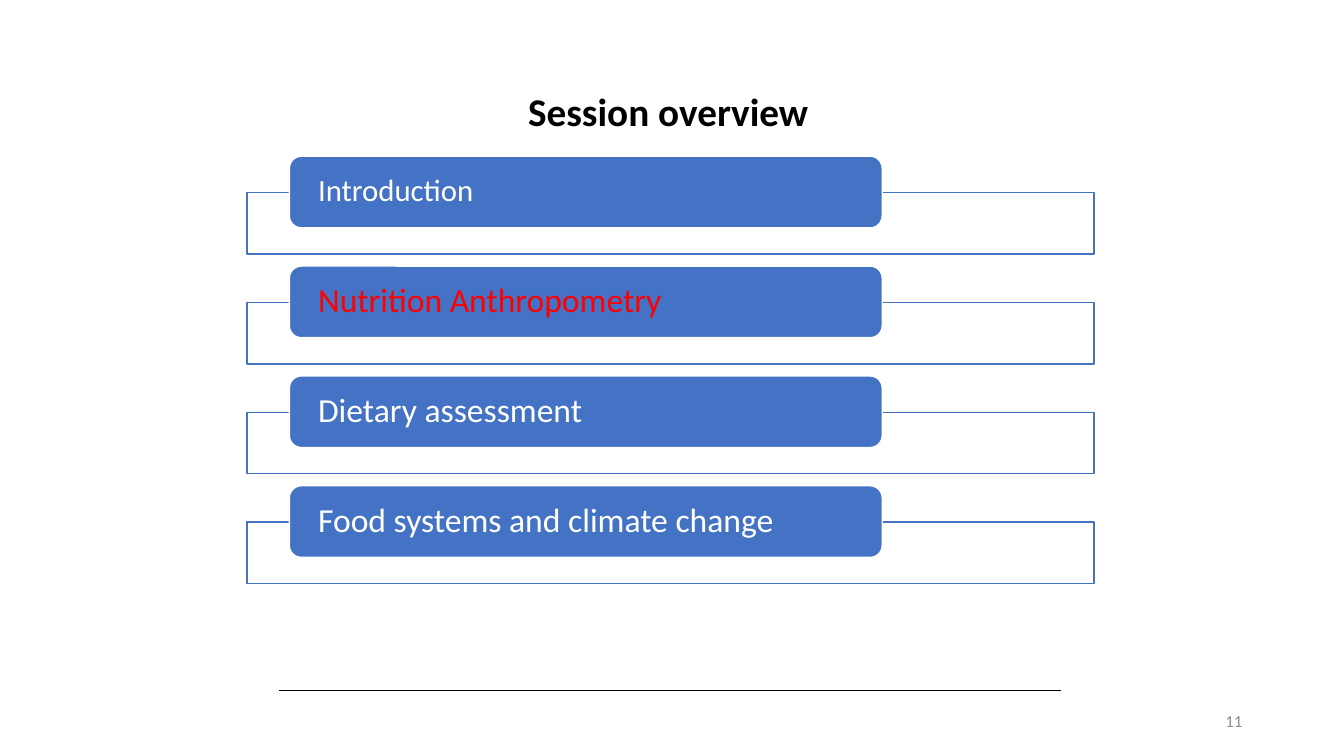
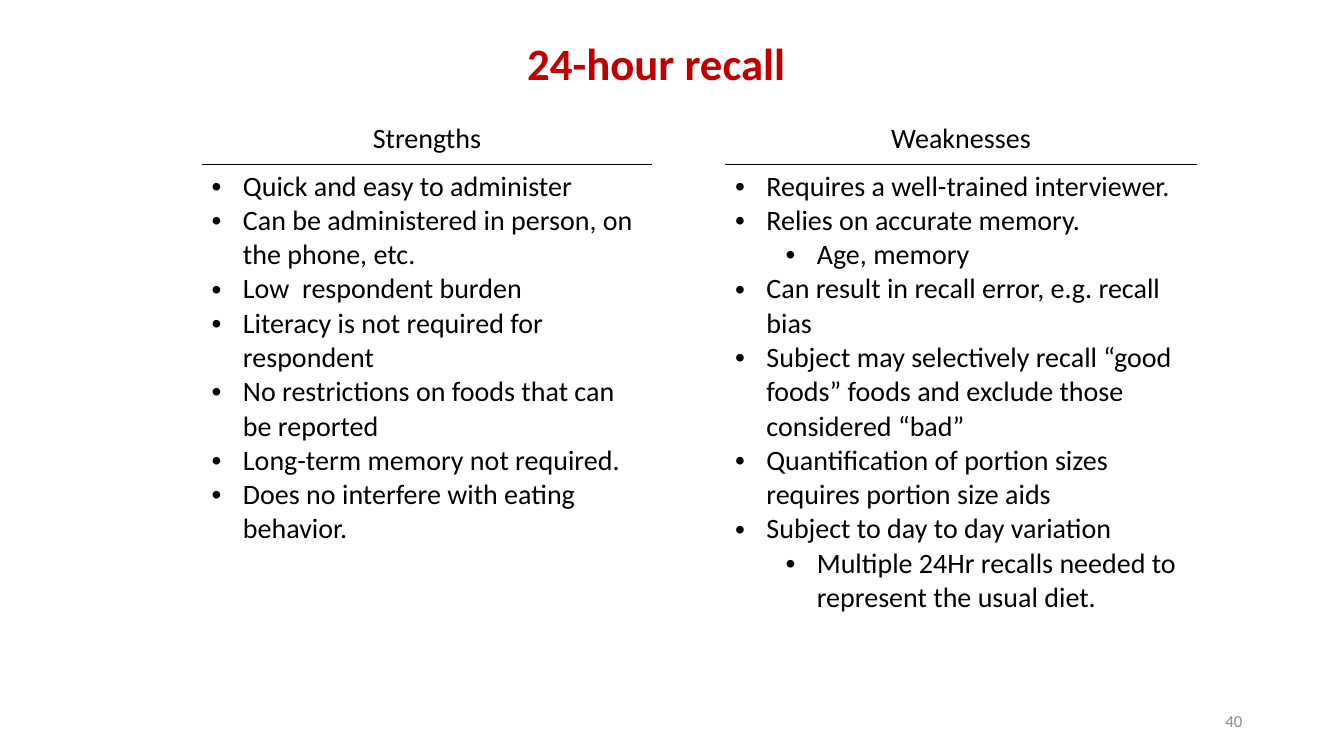
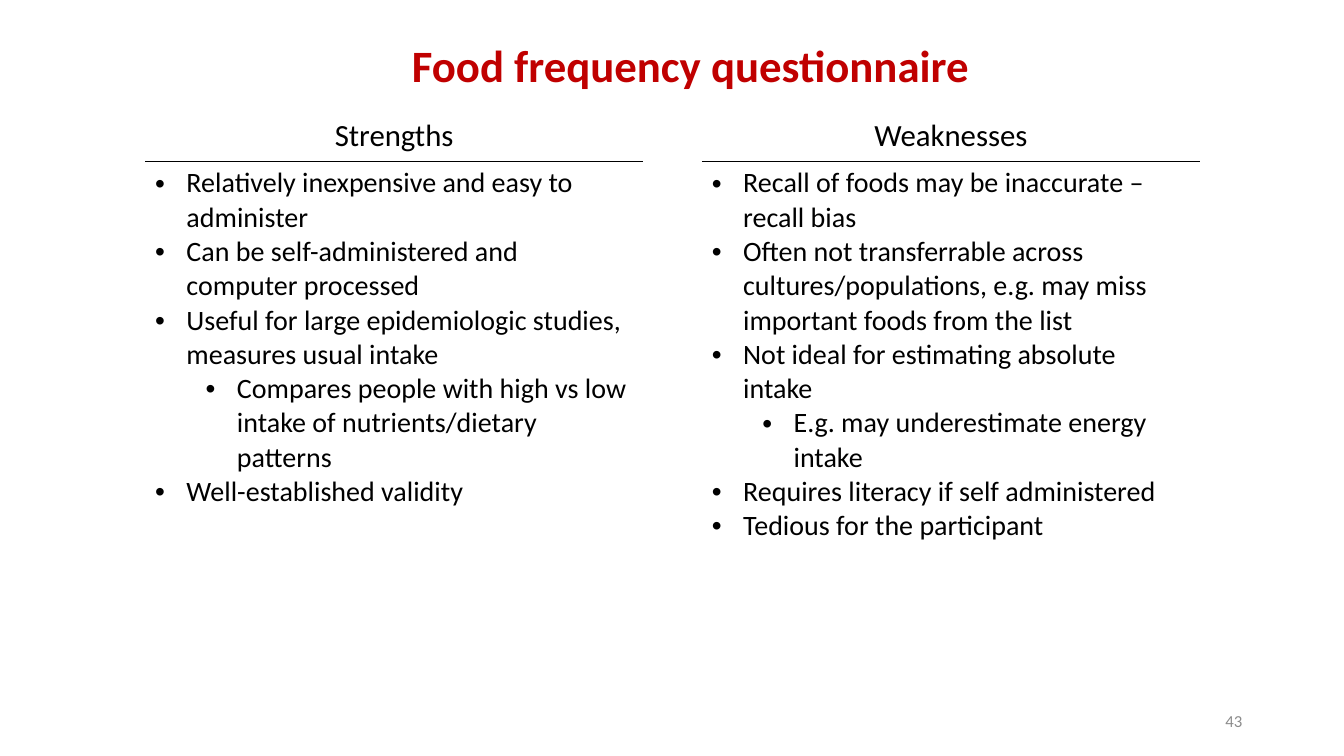
import pptx
import pptx.util
import pptx.dml.color
import pptx.enum.shapes
import pptx.enum.text
import pptx.oxml.ns
import lxml.etree

COLORS = {
    "ink": "000000",
    "paper": "FFFFFF",
    "heading": "C00000",
    "highlight": "FF0000",
    "accent": "4472C4",
    "page": "8C8C8C",
}
FONT = "Calibri"
NO_STYLE = "{2D5ABB26-0587-4C30-8999-92F81FD0307C}"
ALIGN = pptx.enum.text.PP_ALIGN
ANCHOR = pptx.enum.text.MSO_ANCHOR
SHAPE = pptx.enum.shapes.MSO_SHAPE
qn = pptx.oxml.ns.qn
rgb = pptx.dml.color.RGBColor.from_string

deck = pptx.Presentation()
deck.slide_width = pptx.util.Inches(13.33)
deck.slide_height = pptx.util.Inches(7.5)


def place(*shares):
    sides = (deck.slide_width, deck.slide_height)
    return [round(share * sides[i % 2] / 100) for i, share in enumerate(shares)]


def write(frame, text, size=20, color="ink", bold=False, align=ALIGN.LEFT,
          spacing=None, bullets=False):
    lines = [text] if isinstance(text, str) else text
    for number, line in enumerate(lines):
        level, words = (0, line) if isinstance(line, str) else line
        paragraph = frame.paragraphs[0] if number == 0 else frame.add_paragraph()
        paragraph.alignment = align
        paragraph.level = level
        if spacing:
            paragraph.line_spacing = spacing
        if bullets:
            properties = paragraph._p.get_or_add_pPr()
            properties.set("marL", str(pptx.util.Inches(0.31 + 0.5 * level)))
            properties.set("indent", str(-pptx.util.Inches(0.31)))
            lxml.etree.SubElement(properties, qn("a:buFont"), typeface="Arial")
            lxml.etree.SubElement(properties, qn("a:buChar"), char="•")
        run = paragraph.add_run()
        run.text = words
        run.font.name = FONT
        run.font.size = pptx.util.Pt(size)
        run.font.bold = bold
        run.font.color.rgb = rgb(COLORS[color])


pages = [
    {
        "number": "11",
        "title": "Session overview",
        "title_at": (38.56, 10.93, 22.58, 7.6),
        "title_format": {"size": 28, "bold": True},
        "wrap": False,
        "topics": [
            ("Introduction", 22, "paper"),
            ("Nutrition Anthropometry", 24, "highlight"),
            ("Dietary assessment", 24, "paper"),
            ("Food systems and climate change", 24, "paper"),
        ],
    },
    {
        "number": "40",
        "title": "24-hour recall",
        "title_at": (15, 4.13, 67.67, 8.53),
        "title_format": {"size": 32, "bold": True, "color": "heading", "align": ALIGN.CENTER},
        "top": 15.47,
        "rows": (6.27, 71.47),
        "heading_size": 20,
        "lists": [
            ("Strengths", 15, (33.53, 1.95), 0, [
                "Quick and easy to administer",
                "Can be administered in person, on the phone, etc.",
                "Low  respondent burden",
                "Literacy is not required for respondent",
                "No restrictions on foods that can be reported",
                "Long-term memory not required.",
                "Does no interfere with eating behavior.",
            ]),
            ("Weaknesses", 52, (1.95, 35.11), 1, [
                "Requires a well-trained interviewer.",
                "Relies on accurate memory.",
                (1, "Age, memory"),
                "Can result in recall error, e.g. recall bias",
                "Subject may selectively recall “good foods” foods and exclude those considered “bad”",
                "Quantification of portion sizes requires portion size aids",
                "Subject to day to day variation",
                (1, "Multiple 24Hr recalls needed to represent the usual diet."),
            ]),
        ],
    },
    {
        "number": "43",
        "title": "Food frequency questionnaire",
        "title_at": (15.9, 5.07, 70.97, 7.87),
        "title_format": {"size": 32, "bold": True, "color": "heading",
                         "align": ALIGN.CENTER, "spacing": 0.9},
        "top": 14.8,
        "rows": (6.53, 52.67),
        "heading_size": 22,
        "lists": [
            ("Strengths", 10.8, (37.06, 3.53), 0, [
                "Relatively inexpensive and easy to administer",
                "Can be self-administered and computer processed",
                "Useful for large epidemiologic studies, measures usual intake",
                (1, "Compares people with high vs low intake of nutrients/dietary patterns"),
                "Well-established validity",
            ]),
            ("Weaknesses", 48.69, (3.53, 37.06), 1, [
                "Recall of foods may be inaccurate – recall bias",
                "Often not transferrable across cultures/populations, e.g. may miss important foods from the list",
                "Not ideal for estimating absolute intake",
                (1, "E.g. may underestimate energy intake"),
                "Requires literacy if self administered",
                "Tedious for the participant",
            ]),
        ],
    },
]

for page in pages:
    slide = deck.slides.add_slide(deck.slide_layouts[6])

    title = slide.shapes.add_textbox(*place(*page["title_at"])).text_frame
    title.word_wrap = page.get("wrap", True)
    write(title, page["title"], **page["title_format"])

    page_number = slide.shapes.add_textbox(*place(70.67, 92.7, 22.5, 5.33)).text_frame
    page_number.word_wrap = True
    page_number.vertical_anchor = ANCHOR.MIDDLE
    write(page_number, page["number"], size=12, color="page", align=ALIGN.RIGHT)

    if "topics" in page:
        footer_rule = slide.shapes.add_connector(
            pptx.enum.shapes.MSO_CONNECTOR.STRAIGHT, *place(20.78, 91.33, 78.92, 91.33))
        footer_rule.line.color.rgb = rgb(COLORS["ink"])
        footer_rule.line.width = pptx.util.Pt(1)
        lxml.etree.SubElement(footer_rule._element.spPr, qn("a:effectLst"))

    for position, (topic, size, color) in enumerate(page.get("topics", [])):
        drop = position * 14.53
        panel = slide.shapes.add_shape(
            SHAPE.RECTANGLE, *place(18.38, 25.47 + drop, 63.02, 8.13))
        label = slide.shapes.add_shape(
            SHAPE.ROUNDED_RECTANGLE, *place(21.53, 20.67 + drop, 44.11, 9.47))
        for part, fill, outline in ((panel, "paper", "accent"), (label, "accent", "paper")):
            part.shadow.inherit = False
            part.fill.solid()
            part.fill.fore_color.rgb = rgb(COLORS[fill])
            part.line.color.rgb = rgb(COLORS[outline])
            part.line.width = pptx.util.Pt(1)
        panel_color = panel._element.spPr.find(qn("a:solidFill")).find(qn("a:srgbClr"))
        lxml.etree.SubElement(panel_color, qn("a:alpha"), val="90000")
        label.text_frame.word_wrap = True
        label.text_frame.vertical_anchor = ANCHOR.MIDDLE
        label.text_frame.margin_left = label.text_frame.margin_right = pptx.util.Inches(0.25)
        label.text_frame.margin_top = label.text_frame.margin_bottom = 0
        write(label.text_frame, topic, size=size, color=color, spacing=0.9)

    for heading, left, widths, filled, points in page.get("lists", []):
        frame = slide.shapes.add_table(
            2, 2, *place(left, page["top"], sum(widths), sum(page["rows"])))
        frame._element.find(".//" + qn("a:tableStyleId")).text = NO_STYLE
        table = frame.table
        table.first_row = table.horz_banding = False
        for index in range(2):
            table.columns[index].width, table.rows[index].height = place(
                widths[index], page["rows"][index])
        for cell in table.iter_cells():
            cell.fill.background()
        heading_cell, points_cell = table.cell(0, filled), table.cell(1, filled)
        write(heading_cell.text_frame, heading, size=page["heading_size"], align=ALIGN.CENTER)
        write(points_cell.text_frame, points, bullets=True)
        for cell, side in ((heading_cell, "a:lnB"), (points_cell, "a:lnT")):
            border = lxml.etree.Element(qn(side), w=str(pptx.util.Pt(1)))
            ink = lxml.etree.SubElement(border, qn("a:solidFill"))
            lxml.etree.SubElement(ink, qn("a:srgbClr"), val=COLORS["ink"])
            cell._tc.get_or_add_tcPr().insert(0, border)

deck.save("out.pptx")
